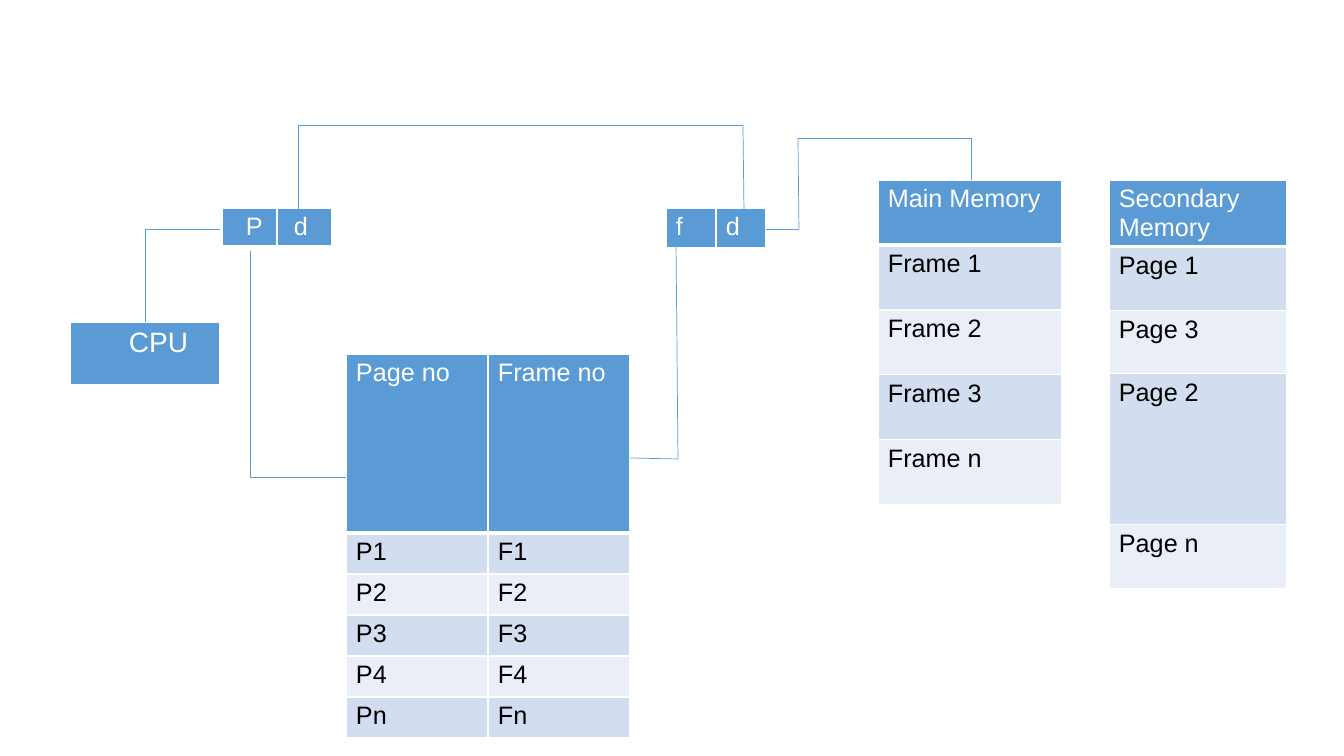
from itertools import pairwise

from lxml import etree
from pptx import Presentation
from pptx.dml.color import RGBColor
from pptx.enum.shapes import MSO_CONNECTOR
from pptx.oxml.ns import qn
from pptx.util import Emu, Pt

STRAIGHT = MSO_CONNECTOR.STRAIGHT
EMU_PER_PIXEL = 914400 / 100.8
FONT = "Arial"
COLORS = {
    "header": "5B9BD5",
    "odd": "D2DEEF",
    "even": "EAEFF7",
    "light": "FFFFFF",
    "dark": "000000",
}


def px(pixels):
    return Emu(round(pixels * EMU_PER_PIXEL))


def rgb(name):
    return RGBColor.from_string(COLORS[name])


def set_borders(cell, bottom_width):
    properties = cell._tc.get_or_add_tcPr()
    widths = {"a:lnL": 1, "a:lnR": 1, "a:lnT": 1, "a:lnB": bottom_width}
    for position, (side, width) in enumerate(widths.items()):
        border = etree.Element(qn(side), w=str(Pt(width)))
        fill = etree.SubElement(border, qn("a:solidFill"))
        etree.SubElement(fill, qn("a:srgbClr"), val=COLORS["light"])
        properties.insert(position, border)


def format_cell(cell, text, row, size, indent):
    is_header = row == 0
    cell.text = text
    cell.margin_left = px(indent)
    cell.fill.solid()
    cell.fill.fore_color.rgb = rgb("header" if is_header else "odd" if row % 2 else "even")
    font = cell.text_frame.paragraphs[0].font
    font.name = FONT
    font.size = Pt(size)
    font.bold = False
    font.color.rgb = rgb("light" if is_header else "dark")
    set_borders(cell, 3 if is_header else 1)


def add_grid(slide, left, top, column_width, row_heights, rows, size=18, indents=(10, 10)):
    column_count = len(rows[0])
    table = slide.shapes.add_table(
        len(rows), column_count, px(left), px(top),
        px(column_width * column_count), px(sum(row_heights)),
    ).table
    for column in table.columns:
        column.width = px(column_width)
    for row, (height, texts) in enumerate(zip(row_heights, rows)):
        table.rows[row].height = px(height)
        for column, text in enumerate(texts):
            format_cell(table.cell(row, column), text, row, size, indents[column])


def add_route(slide, points):
    for start, end in pairwise(points):
        segment = slide.shapes.add_connector(STRAIGHT, *map(px, start + end))
        segment.line.color.rgb = rgb("header")
        segment.line.width = Pt(0.5)
        etree.SubElement(segment._element.spPr, qn("a:effectLst"))


def main():
    presentation = Presentation()
    presentation.slide_width = px(1344)
    presentation.slide_height = px(756)
    slide = presentation.slides.add_slide(presentation.slide_layouts[6])

    secondary_memory = [["Secondary Memory"], ["Page 1"], ["Page 3"], ["Page 2"], ["Page n"]]
    main_memory = [["Main Memory"]] + [[f"Frame {n}"] for n in "123n"]
    page_table = [["Page no", "Frame no"]] + [[f"P{n}", f"F{n}"] for n in "1234n"]

    add_grid(slide, 1109, 180, 178, [66, 64, 63, 151, 64], secondary_memory)
    add_grid(slide, 878, 180, 184, [65] * 5, main_memory)
    add_grid(slide, 70, 322, 150, [64], [["CPU"]], size=20, indents=(59,))
    add_grid(slide, 222, 208, 55, [39], [["P", "d"]], indents=(24, 17))
    add_grid(slide, 346, 354, 142, [179] + [41] * 5, page_table)
    add_grid(slide, 666, 208, 50, [41], [["f", "d"]])

    cpu_to_logical = [(145, 322), (145, 229), (220, 229)]
    page_to_table = [(250, 251), (250, 477), (346, 477)]
    offset_to_offset = [(298, 212), (298, 125), (743, 125), (744, 209)]
    table_to_frame = [(630, 458), (678, 459), (676, 239)]
    physical_to_memory = [(766, 229), (799, 229), (798, 138), (971, 138), (971, 180)]
    for route in (cpu_to_logical, page_to_table, offset_to_offset,
                  table_to_frame, physical_to_memory):
        add_route(slide, route)

    presentation.save("out.pptx")


main()
